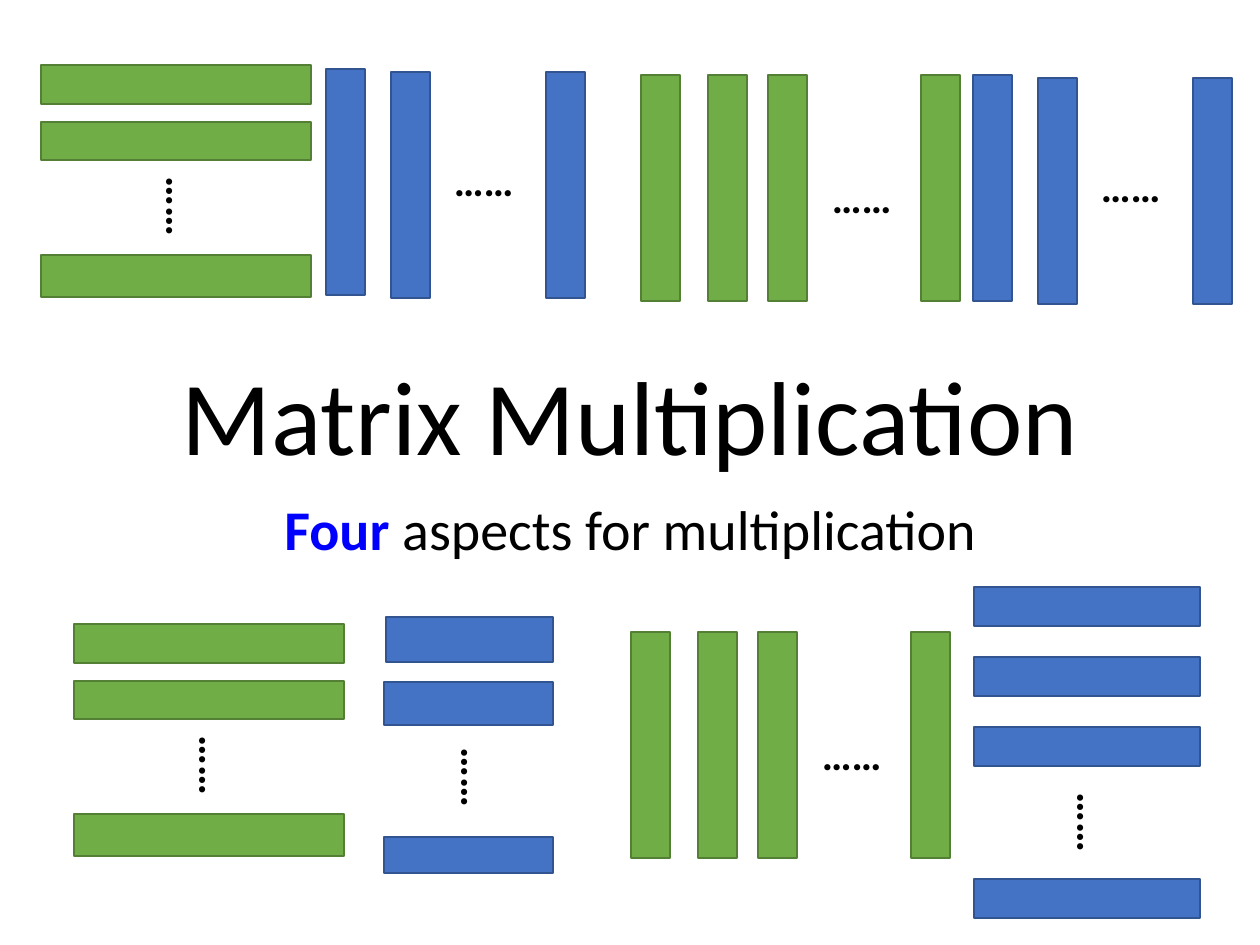
from dataclasses import dataclass

from pptx import Presentation
from pptx import util as u
from pptx.dml.color import RGBColor
from pptx.enum import shapes, text

SCALE = 914400 // 126


@dataclass(frozen=True)
class Theme:
    font: str = "Calibri"
    ink: str = "000000"
    accent: str = "0000FF"
    left_matrix: tuple = ("70AD47", "538035")
    right_matrix: tuple = ("4472C4", "325491")
    title_size: int = 60
    subtitle_size: int = 32
    dots_size: int = 24


THEME = Theme()
COLUMN = (39, 226)
DOTS = (87, 63)


def px(*lengths):
    return [u.Emu(round(length * SCALE)) for length in lengths]


def color(code):
    return RGBColor.from_string(code)


def turned_box(x, y, width, height):
    return x + (width - height) / 2, y + (height - width) / 2, height, width


def add_bar(part, x, y, width, height, colors):
    is_row = width > height
    box = turned_box(x, y, width, height) if is_row else (x, y, width, height)
    bar = part.shapes.add_shape(shapes.MSO_SHAPE.RECTANGLE, *px(*box))
    bar.rotation = 90 if is_row else 0
    bar.shadow.inherit = False
    bar.fill.solid()
    bar.fill.fore_color.rgb = color(colors[0])
    bar.line.color.rgb = color(colors[1])
    bar.line.width = u.Pt(1)


def add_text(part, box, runs, size, bold=None):
    label = part.shapes.add_textbox(*px(*box))
    frame = label.text_frame
    frame.word_wrap = True
    paragraph = frame.paragraphs[0]
    paragraph.font.name = THEME.font
    paragraph.font.size = u.Pt(size)
    paragraph.font.bold = bold
    paragraph.font.color.rgb = color(THEME.ink)
    for words in runs:
        paragraph.add_run().text = words
    return label, paragraph


def add_dots(part, center_x, center_y, rotation=0):
    width, height = DOTS
    box = (center_x - width / 2, center_y - height / 2, width, height)
    dots, _ = add_text(part, box, ["……"], THEME.dots_size, True)
    dots.text_frame.auto_size = text.MSO_AUTO_SIZE.SHAPE_TO_FIT_TEXT
    dots.rotation = rotation


def add_left_columns(part, x, y):
    for offset in (0, 67, 127, 280):
        add_bar(part, x + offset, y, *COLUMN, THEME.left_matrix)
    add_dots(part, x + 222, y + 122)


def add_left_rows(part, x, y):
    for offset, height in ((0, 39), (57, 38), (190, 42)):
        add_bar(part, x, y + offset, 270, height, THEME.left_matrix)
    add_dots(part, x + 142, y + 143, 90)


def add_right_columns(part, x, y):
    for offset, drop in ((0, 0), (65, 3), (220, 3)):
        add_bar(part, x + offset, y + drop, *COLUMN, THEME.right_matrix)
    add_dots(part, x + 159, y + 111)


def add_right_rows(part, rows, dots_center):
    for row in rows:
        add_bar(part, *row, THEME.right_matrix)
    add_dots(part, *dots_center, 90)


def add_heading(slide):
    title, line = add_text(slide, (94, 155, 1072, 329),
                           ["Matrix Multiplication"], THEME.title_size)
    title.text_frame.vertical_anchor = text.MSO_ANCHOR.BOTTOM
    subtitle, subline = add_text(slide, (158, 496, 945, 228),
                                 ["Four", " aspects for multiplication"],
                                 THEME.subtitle_size)
    subline.space_before = u.Pt(10)
    for paragraph in (line, subline):
        paragraph.alignment = text.PP_ALIGN.CENTER
        paragraph.line_spacing = 0.9
    count = subline.runs[0].font
    count.bold = True
    count.color.rgb = color(THEME.accent)


def main():
    deck = Presentation()
    deck.slide_width, deck.slide_height = px(1260, 945)
    slide = deck.slides.add_slide(deck.slide_layouts[6])
    add_heading(slide)

    columns_by_rows = slide.shapes.add_group_shape()
    add_left_columns(columns_by_rows, 631, 632)
    add_right_rows(columns_by_rows,
                   [(974, y, 226, 39) for y in (587, 657, 727, 879)],
                   (1094, 824))

    rows_by_rows = slide.shapes.add_group_shape()
    add_left_rows(rows_by_rows, 74, 624)
    add_right_rows(rows_by_rows,
                   [(386, 617, 167, 45), (384, 682, 169, 43), (384, 837, 169, 36)],
                   (478, 779))

    rows_by_columns = slide.shapes.add_group_shape()
    add_left_rows(rows_by_columns, 41, 65)
    add_right_columns(rows_by_columns, 326, 69)

    columns_by_columns = slide.shapes.add_group_shape()
    add_right_columns(columns_by_columns, 973, 75)
    add_left_columns(columns_by_columns, 641, 75)

    deck.save("out.pptx")


main()
